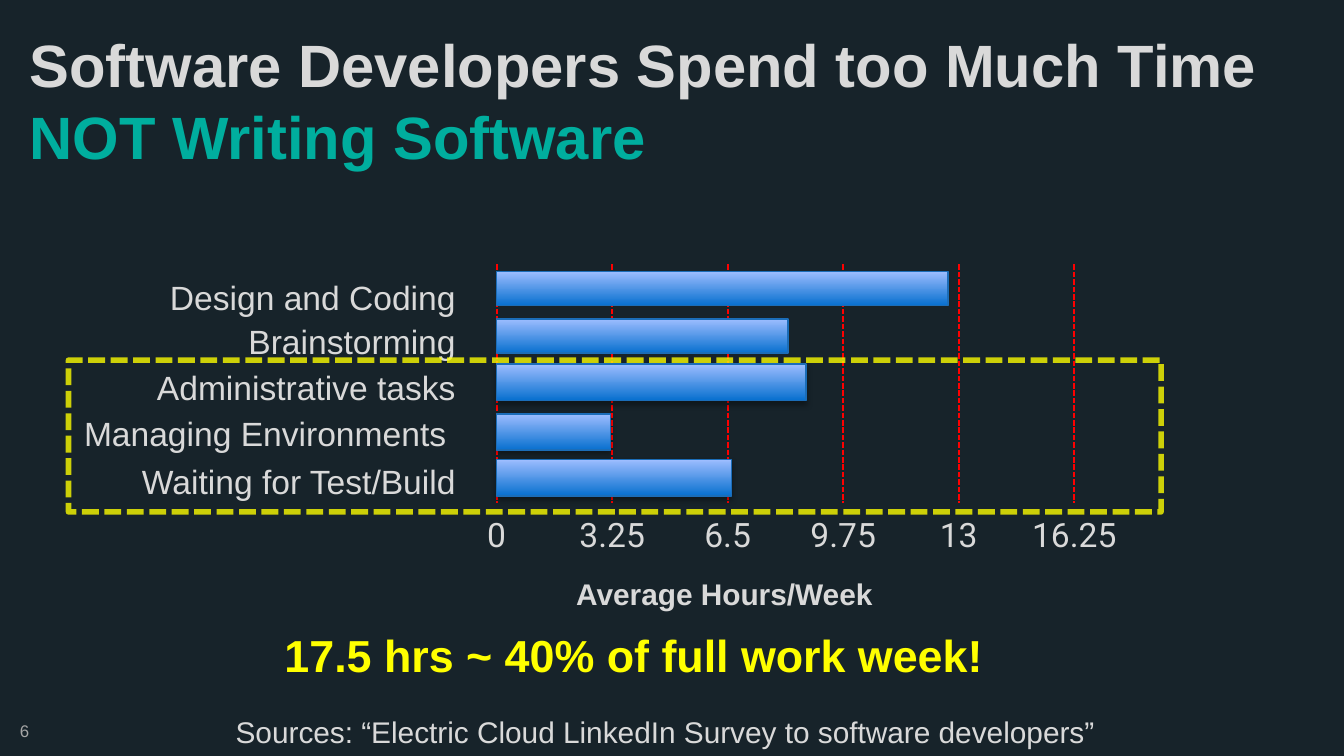
"""Build the slide on how software developers spend their working hours."""
import lxml.etree
import pptx
import pptx.chart.data
import pptx.dml.color
import pptx.enum.chart
import pptx.enum.dml
import pptx.enum.shapes
import pptx.enum.text
import pptx.oxml
import pptx.oxml.ns
import pptx.util

WIDTH = 10
HEIGHT = WIDTH * 9 / 16
COLORS = {"background": "17232A", "text": "D9D9D9", "accent": "00AE9E", "muted": "A6A6A6",
          "highlight": "FFFF00", "grid": "FF0000", "bar_dark": "0870CF",
          "bar_light": "9DBDFF", "bar_line": "1B6DB8", "shadow": "000000"}
TITLE = [("Software Developers Spend too Much Time ", "text"), ("NOT Writing Software", "accent")]
ACTIVITIES = [("Design and Coding", 12.7, 2), ("Brainstorming", 8.2, 2.33),
              ("Administrative tasks", 8.7, 2.67), ("Managing Environments ", 3.2, 3.01),
              ("Waiting for Test/Build", 6.6, 3.37)]
HIGHLIGHTED_BAR_TOPS = {2: 2.71, 3: 3.08, 4: 3.42}
BAR_HEIGHT = 0.27
AXIS_STEP, AXIS_MAX = 3.25, 16.25
CHART_BOX = (1.98, 1.75, 7.8, 3.36)
PLOT_SHARES = {"x": 0.22, "y": 0.065, "w": 0.551, "h": 0.529}

CENTER = pptx.enum.text.PP_ALIGN.CENTER
RIGHT = pptx.enum.text.PP_ALIGN.RIGHT
LEFT = pptx.enum.text.PP_ALIGN.LEFT
MIDDLE = pptx.enum.text.MSO_ANCHOR.MIDDLE
TOP = pptx.enum.text.MSO_ANCHOR.TOP
RECTANGLE = pptx.enum.shapes.MSO_SHAPE.RECTANGLE
DASH = pptx.enum.dml.MSO_LINE.SQUARE_DOT

NOTES = [
    ("Sources: “Electric Cloud LinkedIn Survey to software developers”",
     (1.69, 5.29, 6.52, 0.31), 16, "text", False, CENTER, MIDDLE, 0.02, False),
    ("Average Hours/Week", (3.8, 4.23, 3.18, 0.38), 16, "text", True, CENTER, MIDDLE, 0.06, True),
    ("6", (0.05, 5.29, 0.41, 0.3), 9, "muted", False, LEFT, TOP, 0.1, True),
    ("17.5 hrs ~ 40% of full work week!",
     (0.51, 4.61, 8.41, 0.52), 24, "highlight", True, CENTER, MIDDLE, 0.06, True),
]


def color(name):
    return pptx.dml.color.RGBColor.from_string(COLORS[name])


def inches(box):
    return [pptx.util.Inches(length) for length in box]


def assign(target, **values):
    for name, value in values.items():
        setattr(target, name, value)


def format_font(font, size, color_name, bold=False, name="Arial"):
    assign(font, size=pptx.util.Pt(size), bold=bold, name=name)
    font.color.rgb = color(color_name)


def add_text(slide, text, box, size, color_name, bold, alignment, anchor, inset, wrap):
    frame = slide.shapes.add_textbox(*inches(box)).text_frame
    margin = pptx.util.Inches(inset)
    assign(frame, word_wrap=wrap, vertical_anchor=anchor, margin_left=margin,
           margin_right=margin, margin_top=margin, margin_bottom=margin)
    paragraph = frame.paragraphs[0]
    paragraph.alignment = alignment
    run = paragraph.add_run()
    run.text = text
    format_font(run.font, size, color_name, bold)


def add_title(slide):
    title = slide.shapes.title
    left, top, width, height = inches((0.12, 0.16, 9.37, 1.07))
    assign(title, left=left, top=top, width=width, height=height)
    assign(title.text_frame, word_wrap=True, vertical_anchor=TOP,
           auto_size=pptx.enum.text.MSO_AUTO_SIZE.NONE)
    paragraph = title.text_frame.paragraphs[0]
    assign(paragraph, alignment=LEFT, line_spacing=1.0, space_after=pptx.util.Pt(3))
    for text, color_name in TITLE:
        run = paragraph.add_run()
        run.text = text
        format_font(run.font, 32, color_name, True)


def style_bar(bar):
    bar.fill.gradient()
    bar.fill.gradient_angle = 90
    for stop, position, name in zip(bar.fill.gradient_stops, (0, 1), ("bar_dark", "bar_light")):
        stop.position = position
        stop.color.rgb = color(name)
    bar.line.color.rgb = color("bar_line")
    bar.line.width = pptx.util.Pt(0.75)


def add_chart(slide):
    data = pptx.chart.data.CategoryChartData()
    data.categories = [str(number + 1) for number in range(len(ACTIVITIES))]
    data.add_series("Series 1", [hours for _, hours, _ in ACTIVITIES])
    chart = slide.shapes.add_chart(pptx.enum.chart.XL_CHART_TYPE.BAR_CLUSTERED,
                                   *inches(CHART_BOX), data).chart
    assign(chart, has_legend=False, has_title=False)
    format_font(chart.font, 10, "shadow")
    plot = chart.plots[0]
    assign(plot, gap_width=40, overlap=-10, vary_by_categories=False)
    series = plot.series[0]
    series.format.fill.solid()
    series.format.fill.fore_color.rgb = color("accent")
    for index in range(len(ACTIVITIES)):
        point = series.points[index].format
        if index in HIGHLIGHTED_BAR_TOPS:
            point.fill.solid()
            point.fill.fore_color.rgb = color("grid")
        else:
            style_bar(point)
    assign(chart.category_axis, visible=False, reverse_order=True)
    axis = chart.value_axis
    no_tick = pptx.enum.chart.XL_TICK_MARK.NONE
    assign(axis, minimum_scale=0, maximum_scale=AXIS_MAX, major_unit=AXIS_STEP,
           major_tick_mark=no_tick, minor_tick_mark=no_tick, has_major_gridlines=True,
           tick_label_position=pptx.enum.chart.XL_TICK_LABEL_POSITION.HIGH)
    assign(axis.tick_labels, number_format="General", number_format_is_linked=False)
    format_font(axis.tick_labels.font, 18, "text", name="Roboto")
    axis.format.line.fill.background()
    grid = axis.major_gridlines.format.line
    grid.color.rgb = color("grid")
    assign(grid, width=pptx.util.Pt(1), dash_style=DASH)
    shares = "".join(f'<c:{side} val="{share}"/>' for side, share in PLOT_SHARES.items())
    layout = pptx.oxml.parse_xml(
        f'<c:layout {pptx.oxml.ns.nsdecls("c")}><c:manualLayout><c:layoutTarget val="inner"/>'
        f'<c:xMode val="edge"/><c:yMode val="edge"/>{shares}</c:manualLayout></c:layout>')
    plot_area = chart.element.find(".//" + pptx.oxml.ns.qn("c:plotArea"))
    for old_layout in plot_area.findall(pptx.oxml.ns.qn("c:layout")):
        plot_area.remove(old_layout)
    plot_area.insert(0, layout)


def add_highlight_frame(slide):
    frame = slide.shapes.add_shape(RECTANGLE, *inches((0.51, 2.68, 8.13, 1.13)))
    frame.shadow.inherit = False
    frame.fill.background()
    frame.line.color.rgb = color("highlight")
    assign(frame.line, width=pptx.util.Pt(3), dash_style=DASH)
    for element in frame.element.spPr.iter(pptx.oxml.ns.qn("a:srgbClr")):
        lxml.etree.SubElement(element, pptx.oxml.ns.qn("a:alpha"), val="78000")


def add_highlighted_bars(slide):
    plot_left = CHART_BOX[0] + PLOT_SHARES["x"] * CHART_BOX[2]
    inches_per_hour = PLOT_SHARES["w"] * CHART_BOX[2] / AXIS_MAX
    for index, top in HIGHLIGHTED_BAR_TOPS.items():
        width = ACTIVITIES[index][1] * inches_per_hour
        bar = slide.shapes.add_shape(RECTANGLE, *inches((plot_left, top, width, BAR_HEIGHT)))
        style_bar(bar)
        bar.shadow.inherit = False
        effects = bar.element.spPr.find(pptx.oxml.ns.qn("a:effectLst"))
        effects.append(pptx.oxml.parse_xml(
            f'<a:outerShdw {pptx.oxml.ns.nsdecls("a")} blurRad="{pptx.util.Pt(3.1)}" '
            f'dist="{pptx.util.Pt(1.8)}" dir="5400000" rotWithShape="0">'
            f'<a:srgbClr val="{COLORS["shadow"]}"><a:alpha val="35000"/></a:srgbClr>'
            '</a:outerShdw>'))


def main():
    presentation = pptx.Presentation()
    assign(presentation, slide_width=pptx.util.Inches(WIDTH),
           slide_height=pptx.util.Inches(HEIGHT))
    slide = presentation.slides.add_slide(presentation.slide_layouts[5])
    slide.background.fill.solid()
    slide.background.fill.fore_color.rgb = color("background")
    add_title(slide)
    add_chart(slide)
    for label, _, top in ACTIVITIES:
        add_text(slide, label, (0.26, top, 3.19, 0.42), 18, "text", False,
                 RIGHT, MIDDLE, 0.06, True)
    for note in NOTES:
        add_text(slide, *note)
    add_highlight_frame(slide)
    add_highlighted_bars(slide)
    presentation.save("out.pptx")


if __name__ == "__main__":
    main()
